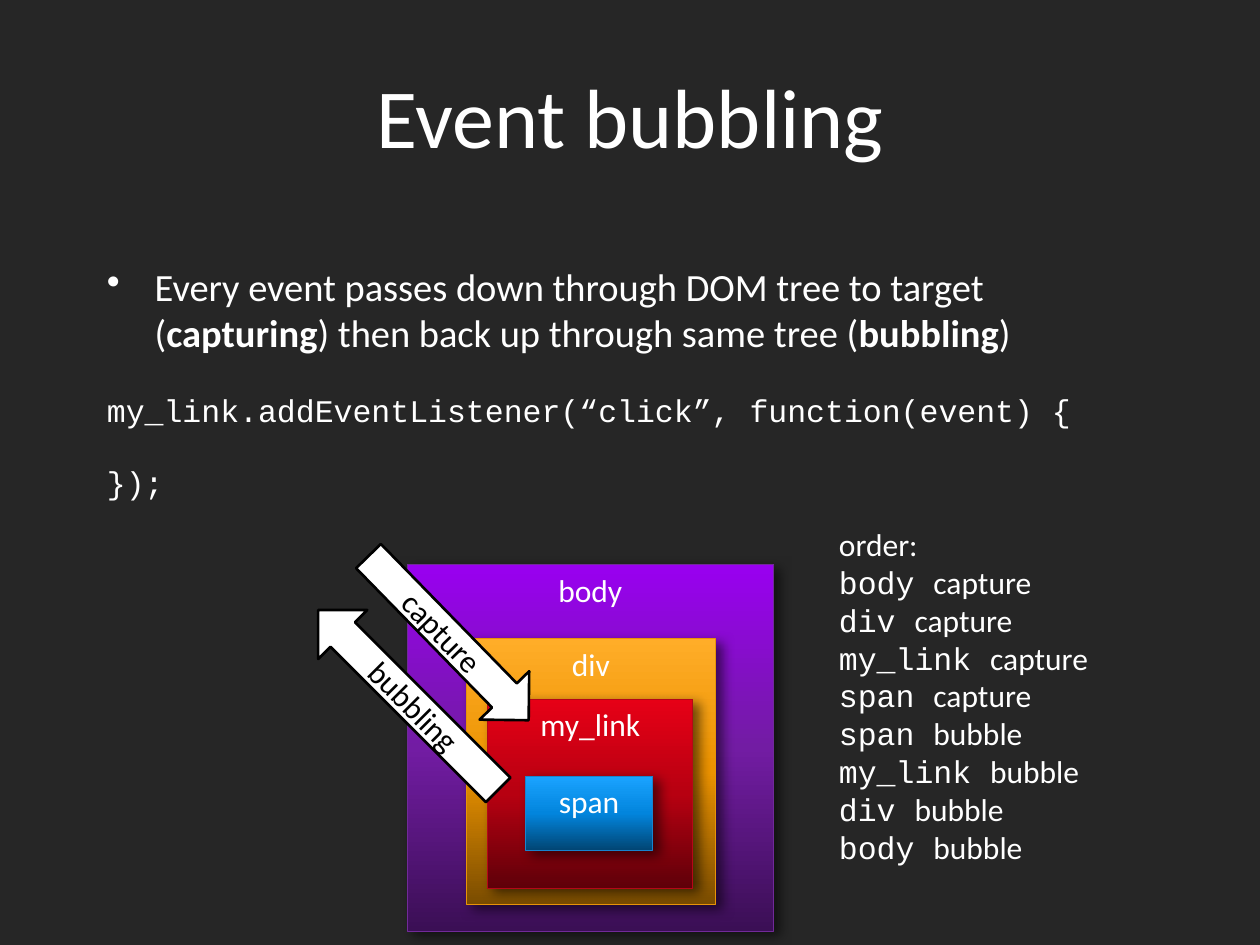
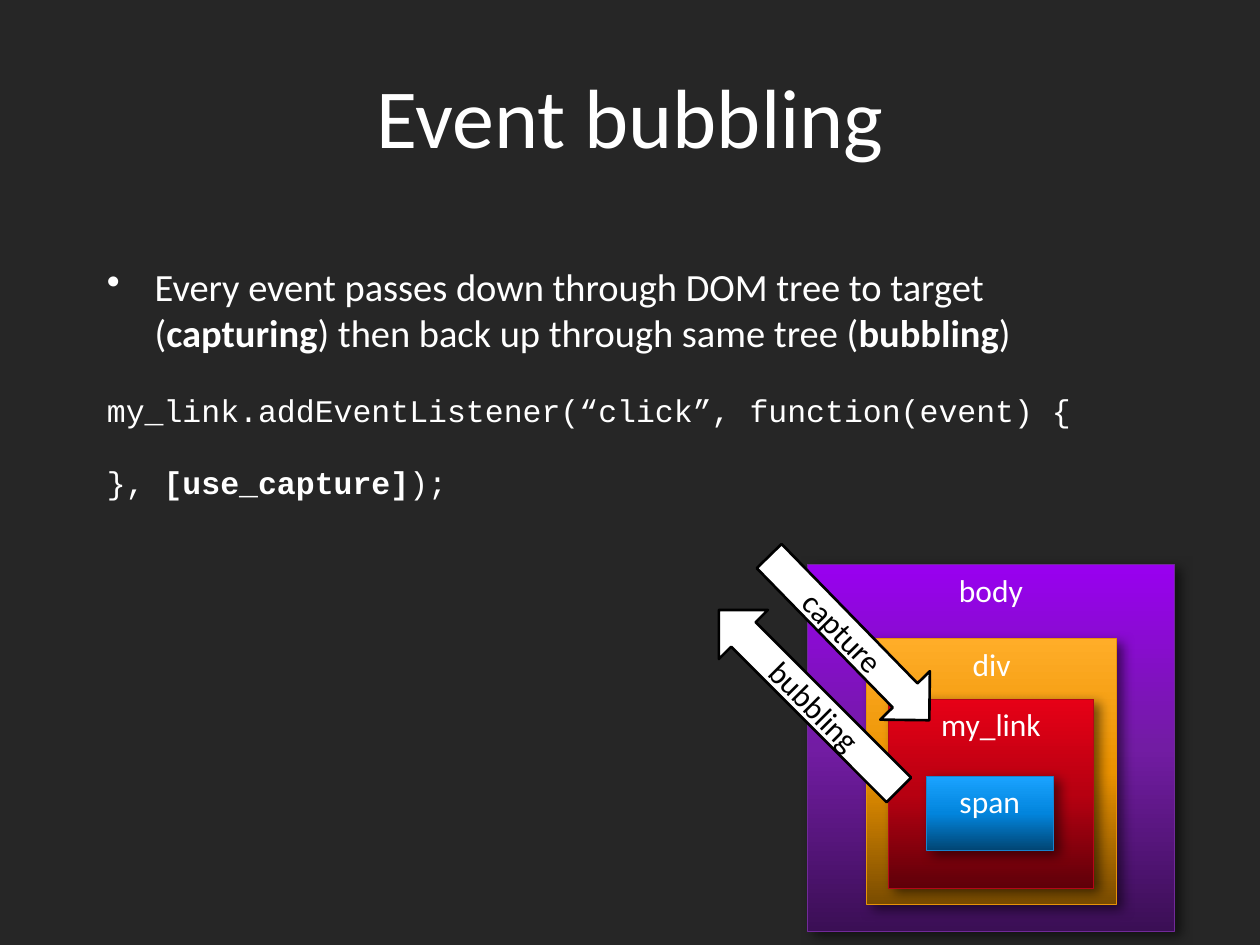
import copy
import pptx
import pptx.util
import pptx.dml.color
import pptx.enum.shapes
import pptx.enum.text
import pptx.oxml
import pptx.oxml.ns

Inches, Pt = pptx.util.Inches, pptx.util.Pt
KIND = pptx.enum.shapes.MSO_SHAPE
ALIGN = pptx.enum.text.PP_ALIGN
ANCHOR = pptx.enum.text.MSO_ANCHOR
WIDE, HIGH = 10, 7.5
MARGIN = 0.075 * WIDE
SANS, CODE = "Calibri", "Courier New"
COLORS = {"back": "262626", "text": "FFFFFF", "ink": "000000"}
TAGS = ["body", "div", "my_link", "span"]
BOXES = {
    "body": ((0, 0, 2.91, 2.91), ("3B0F55", "721CA3", "9900F0"), "712A99"),
    "div": ((0.47, 0.59, 1.98, 2.11), ("7A4C00", "EB9200", "FFAD28"), "E89308"),
    "my_link": ((0.64, 1.07, 1.63, 1.5), ("5F0009", "B70011", "E60016"), "B50717"),
    "span": ((0.94, 1.68, 1.01, 0.59), ("014573", "0285DD", "1AA3FF"), "1884CD"),
}
ARROWS = {
    "capture": ((-0.58, 0.31, 1.82, 0.55), 45.7, False),
    "bubbling": ((-1, 0.8, 2.02, 0.55), 45, True),
}
SHADOW = (
    '<a:outerShdw %s blurRad="88900" dist="50800" dir="2100000" algn="ctr" rotWithShape="0">'
    '<a:srgbClr val="%s"><a:alpha val="55000"/></a:srgbClr></a:outerShdw>'
)


def rgb(code):
    """Turn a hex string into a colour."""
    return pptx.dml.color.RGBColor.from_string(code)


def style(font, size, name=SANS, color=COLORS["text"]):
    """Set the size, face and colour of a font."""
    font.size, font.name = Pt(size), name
    font.color.rgb = rgb(color)


def place(box):
    """Convert a box in inches to lengths."""
    return [Inches(side) for side in box]


def add_text(slide, box, anchor=ANCHOR.TOP):
    """Add an empty wrapping text box and return its frame."""
    frame = slide.shapes.add_textbox(*place(box)).text_frame
    frame.word_wrap = True
    frame.vertical_anchor = anchor
    return frame


def add_line(frame, parts, size, name=SANS, first=False, space=0):
    """Add a paragraph of (text, bold, face) parts."""
    line = frame.paragraphs[0] if first else frame.add_paragraph()
    line.space_before = Pt(space)
    style(line.font, size, name)
    for text, bold, face in parts:
        run = line.add_run()
        run.text = text
        if bold:
            run.font.bold = True
        if face:
            run.font.name = face
    return line


def add_bullet(line, indent):
    """Give a paragraph a hanging bullet."""
    props = line._p.get_or_add_pPr()
    props.set("marL", str(Inches(indent)))
    props.set("indent", str(-Inches(indent)))
    mark = '<a:buChar %s char="\u2022"/>' % pptx.oxml.ns.nsdecls("a")
    props.append(pptx.oxml.parse_xml(mark))


def add_label(shape, text, color, anchor):
    """Write a centred label in a shape."""
    frame = shape.text_frame
    frame.vertical_anchor = anchor
    line = frame.paragraphs[0]
    line.text, line.alignment = text, ALIGN.CENTER
    style(line.font, 18, color=color)


def add_box(slide, tag, left, top):
    """Add a shaded box for one element of the tree."""
    (x, y, w, h), shades, edge = BOXES[tag]
    box = slide.shapes.add_shape(KIND.RECTANGLE, *place((left + x, top + y, w, h)))
    box.fill.gradient()
    box.fill.gradient_angle = 90
    stops = box.element.spPr.find(".//" + pptx.oxml.ns.qn("a:gsLst"))
    stops.append(copy.deepcopy(stops[0]))
    for rank, (stop, shade) in enumerate(zip(box.fill.gradient_stops, shades)):
        stop.color.rgb = rgb(shade)
        stop.position = rank / 2
    box.line.color.rgb, box.line.width = rgb(edge), Pt(0.5)
    box.shadow.inherit = False
    glow = SHADOW % (pptx.oxml.ns.nsdecls("a"), COLORS["ink"])
    box.element.spPr.find(pptx.oxml.ns.qn("a:effectLst")).append(pptx.oxml.parse_xml(glow))
    add_label(box, tag, COLORS["text"], ANCHOR.TOP)


def add_arrow(slide, text, left, top):
    """Add a slanted block arrow with its label."""
    (x, y, w, h), turn, flip = ARROWS[text]
    arrow = slide.shapes.add_shape(KIND.RIGHT_ARROW, *place((left + x, top + y, w, h)))
    arrow.rotation = turn
    if flip:
        arrow.element.spPr.xfrm.set("flipH", "1")
    arrow.fill.solid()
    arrow.fill.fore_color.rgb = rgb(COLORS["text"])
    arrow.line.color.rgb, arrow.line.width = rgb(COLORS["ink"]), Pt(1.5)
    arrow.shadow.inherit = False
    add_label(arrow, text, COLORS["ink"], ANCHOR.MIDDLE)


def add_tree(slide, left, top=4.48):
    """Draw the nested boxes with the two arrows."""
    for tag in TAGS[:-1]:
        add_box(slide, tag, left, top)
    for text in ARROWS:
        add_arrow(slide, text, left, top)
    add_box(slide, TAGS[-1], left, top)


def add_order(slide):
    """List the order in which the handlers run."""
    frame = add_text(slide, (6.56, 4.12, 3.08, 2.83))
    add_line(frame, [("order:", False, None)], 18, first=True)
    steps = [(tag, "capture") for tag in TAGS] + [(tag, "bubble") for tag in TAGS[::-1]]
    for tag, phase in steps:
        add_line(frame, [(tag + " ", False, CODE), (phase, False, None)], 18)


def add_slide(deck, tail, height, left):
    """Add a slide with title, body text and tree."""
    slide = deck.slides.add_slide(deck.slide_layouts[6])
    width = WIDE - 2 * MARGIN
    head = add_text(slide, (MARGIN, 0.13, width, 1.56), ANCHOR.MIDDLE)
    title = add_line(head, [("Event bubbling", False, None)], 48, first=True)
    title.alignment = ALIGN.CENTER
    frame = add_text(slide, (MARGIN, 2.04, width, height))
    point = [
        ("Every event passes down through DOM tree to target (", False, None),
        ("capturing", True, None),
        (") then back up through same tree (", False, None),
        ("bubbling", True, None),
        (")", False, None),
    ]
    add_bullet(add_line(frame, point, 22, first=True, space=20), 0.38)
    call = [("my_link.addEventListener(\u201cclick\u201d, function(event) {", False, None)]
    for parts in (call, tail):
        add_line(frame, parts, 18, CODE, space=20)
    add_tree(slide, left)
    return slide


def main():
    """Build the deck and save it."""
    deck = pptx.Presentation()
    deck.slide_width, deck.slide_height = Inches(WIDE), Inches(HIGH)
    back = deck.slide_master.background.fill
    back.solid()
    back.fore_color.rgb = rgb(COLORS["back"])
    add_order(add_slide(deck, [("});", False, None)], 2.18, 3.23))
    tail = [("}, ", False, None), ("[use_capture]", True, None), (");", False, None)]
    add_slide(deck, tail, 4.66, 6.41)
    deck.save("out.pptx")


main()
